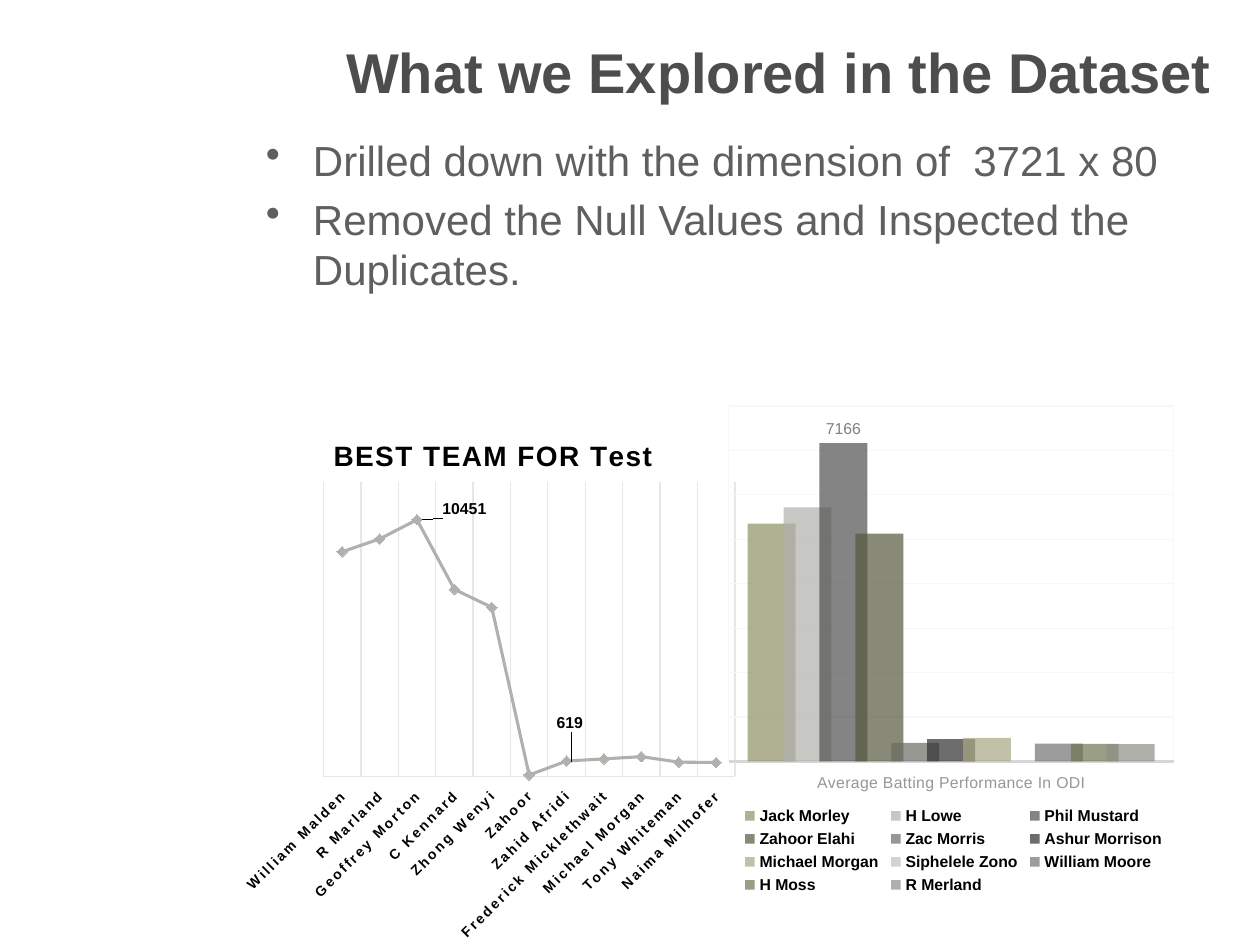
from lxml.etree import SubElement
from pptx import Presentation
from pptx.chart.data import CategoryChartData
from pptx.dml.color import RGBColor
from pptx.enum.chart import XL_CHART_TYPE as ChartType
from pptx.enum.chart import XL_LABEL_POSITION as LabelPosition
from pptx.enum.chart import XL_LEGEND_POSITION as LegendPosition
from pptx.enum.chart import XL_MARKER_STYLE as Marker
from pptx.enum.chart import XL_TICK_LABEL_POSITION as TickLabels
from pptx.enum.chart import XL_TICK_MARK as Tick
from pptx.enum.text import MSO_ANCHOR as Anchor
from pptx.enum.text import MSO_AUTO_SIZE as AutoSize
from pptx.enum.text import PP_ALIGN as Align
from pptx.oxml import parse_xml
from pptx.oxml.ns import qn
from pptx.util import Cm, Pt

CHART_NS = "http://schemas.openxmlformats.org/drawingml/2006/chart"
POINTS = [
    "Drilled down with the dimension of  3721 x 80",
    "Removed the Null Values and Inspected the Duplicates.",
]
TEST_TEAM = {
    "William Malden": 9146, "R Marland": 9668, "Geoffrey Morton": 10451,
    "C Kennard": 7614, "Zhong Wenyi": 6882, "Zahoor": 51,
    "Zahid Afridi": 619, "Frederick Micklethwait": 708,
    "Michael Morgan": 800, "Tony Whiteman": 575, "Naima Milhofer": 563,
}
ODI_TEAM = [
    ("Jack Morley", 5350, "8F9166"), ("H Lowe", 5720, "B0B0AC"),
    ("Phil Mustard", 7166, "505050"), ("Zahoor Elahi", 5130, "56573D"),
    ("Zac Morris", 420, "6B6B66"), ("Ashur Morrison", 500, "303030"),
    ("Michael Morgan", 530, "A6A883"), ("Siphelele Zono", 0, "C0C0BD"),
    ("William Moore", 400, "737373"), ("H Moss", 395, "727452"),
    ("R Merland", 390, "8E8E88"),
]


def rgb(value):
    return RGBColor.from_string(value)


def set_font(font, size, color, bold=False):
    font.name = "Arial"
    font.size = Pt(size)
    font.bold = bold
    font.color.rgb = rgb(color)


def set_line(line, color, width):
    line.color.rgb = rgb(color)
    line.width = Pt(width)


def set_layout(element, index, **settings):
    """Give a chart part a manual layout as its child at the index."""
    for old in element.findall(qn("c:layout")):
        element.remove(old)
    layout = parse_xml(f'<c:layout xmlns:c="{CHART_NS}"/>')
    manual = SubElement(layout, qn("c:manualLayout"))
    for name, value in settings.items():
        SubElement(manual, qn(f"c:{name}")).set("val", str(value))
    element.insert(index, layout)


def place_plot(chart, x, y, w, h):
    plot_area = chart._chartSpace.find(".//" + qn("c:plotArea"))
    set_layout(plot_area, 0, layoutTarget="inner", xMode="edge", yMode="edge",
               x=x, y=y, w=w, h=h)


def space_letters(font, spacing):
    font._element.set("spc", str(spacing))


def format_axes(chart, size, color, bold, line, grid, spacing):
    """Style the category axis from (color, width) pairs; hide the value axis."""
    axis = chart.category_axis
    axis.major_tick_mark = axis.minor_tick_mark = Tick.NONE
    axis.tick_label_position = TickLabels.LOW
    set_font(axis.tick_labels.font, size, color, bold)
    space_letters(axis.tick_labels.font, spacing)
    set_line(axis.format.line, *line)
    axis.has_major_gridlines = True
    set_line(axis.major_gridlines.format.line, *grid)
    chart.value_axis.visible = False
    chart.value_axis.minimum_scale = 0


def add_title(slide, text):
    title = slide.shapes.title
    title.left, title.top = Cm(5.11), Cm(0.53)
    title.width, title.height = Cm(19.58), Cm(1.8)
    title.text_frame.text = text
    title.text_frame.vertical_anchor = Anchor.MIDDLE
    title.text_frame.auto_size = AutoSize.NONE
    para = title.text_frame.paragraphs[0]
    para.alignment = Align.RIGHT
    set_font(para.font, 32, "4D4D4D", True)


def add_bullets(slide, lines):
    box = slide.shapes.add_textbox(Cm(5.11), Cm(2.59), Cm(19.61), Cm(5.74))
    frame = box.text_frame
    frame.word_wrap = True
    frame.text = "\n".join(lines)
    for para in frame.paragraphs:
        set_font(para.font, 24, "5F5F5F")
        para.space_before = Pt(4.8)
        props = para._p.get_or_add_pPr()
        props.set("marL", str(Cm(0.95)))
        props.set("indent", str(-Cm(0.95)))
        bullet = props.makeelement(qn("a:buChar"), {"char": "•"})
        props.insert_element_before(bullet, "a:tabLst", "a:defRPr", "a:extLst")


def label_point(series, index, x, y):
    """Show one value, moved by fractions of the chart's size."""
    label = series.points[index].data_label
    label.position = LabelPosition.RIGHT
    set_font(label.font, 9, "000000", True)
    element = label._get_or_add_dLbl()
    set_layout(element, 1, x=x, y=y)


def show_leader_lines(series):
    labels = series.data_labels._element
    leader = labels.find(qn("c:showLeaderLines"))
    if leader is None:
        leader = SubElement(labels, qn("c:showLeaderLines"))
    leader.set("val", "1")


def add_line_chart(slide):
    data = CategoryChartData(number_format="0")
    data.categories = list(TEST_TEAM)
    data.add_series("Series 1", list(TEST_TEAM.values()))
    chart = slide.shapes.add_chart(
        ChartType.LINE_MARKERS, Cm(4.78), Cm(8.2), Cm(10.24), Cm(10.8), data).chart
    set_font(chart.font, 10, "000000", True)
    chart.has_legend = False
    chart.has_title = True
    frame = chart.chart_title.text_frame
    frame.text = "BEST TEAM FOR Test"
    title_font = frame.paragraphs[0].font
    set_font(title_font, 16, "000000", True)
    space_letters(title_font, 100)
    set_layout(chart.chart_title._element, 1, xMode="edge", yMode="edge",
               x=0.18, y=0.05)
    format_axes(chart, 8, "000000", True, ("E7E7E7", 0.75), ("E7E7E7", 0.75), 120)
    chart.value_axis.has_major_gridlines = False
    label_body = chart.category_axis.tick_labels._element.find(
        qn("c:txPr")).find(qn("a:bodyPr"))
    label_body.set("rot", "-2700000")
    place_plot(chart, 0.17, 0.14, 0.81, 0.55)

    series = chart.plots[0].series[0]
    series.smooth = False
    set_line(series.format.line, "B0B0AC", 1.75)
    series.marker.style = Marker.DIAMOND
    series.marker.size = 6
    series.marker.format.fill.solid()
    series.marker.format.fill.fore_color.rgb = rgb("B0B0AC")
    set_line(series.marker.format.line, "B0B0AC", 0.75)
    series.data_labels.show_value = False
    label_point(series, 2, 0.03, -0.02)
    label_point(series, 6, -0.04, -0.07)
    show_leader_lines(series)


def add_column_chart(slide):
    data = CategoryChartData(number_format="0")
    data.categories = ["Average Batting Performance In ODI"]
    for name, runs, _ in ODI_TEAM:
        data.add_series(name, [runs])
    chart = slide.shapes.add_chart(
        ChartType.COLUMN_CLUSTERED, Cm(14.5), Cm(7.98), Cm(9.35), Cm(10.24), data).chart
    set_font(chart.font, 10, "5F5F5F")
    chart.has_title = False
    grid = ("F7F7F7", 0.75)
    format_axes(chart, 9, "979797", False, ("D7D7D7", 1.25), grid, 20)
    chart.value_axis.maximum_scale = 8000
    chart.value_axis.major_unit = 1000
    set_line(chart.value_axis.major_gridlines.format.line, *grid)
    place_plot(chart, 0.02, 0.02, 0.96, 0.7)
    chart.has_legend = True
    chart.legend.position = LegendPosition.BOTTOM
    chart.legend.include_in_layout = False
    set_font(chart.legend.font, 9, "000000", True)
    set_layout(chart.legend._element, 1, xMode="edge", yMode="edge",
               x=0.04, y=0.8, w=0.93, h=0.19)

    plot = chart.plots[0]
    plot.vary_by_categories = False
    plot.gap_width, plot.overlap = 80, 25
    for series, (name, _, color) in zip(plot.series, ODI_TEAM):
        fill = series.format.fill
        fill.solid()
        fill.fore_color.rgb = rgb(color)
        tint = series._element.find(".//" + qn("a:srgbClr"))
        SubElement(tint, qn("a:alpha")).set("val", "70000")
        if name == "Phil Mustard":
            label = series.points[0].data_label
            label.position = LabelPosition.OUTSIDE_END
            set_font(label.font, 9, "808080")
            series.data_labels.show_value = False


def main():
    deck = Presentation()
    deck.slide_width, deck.slide_height = Cm(25.4), Cm(19.05)
    slide = deck.slides.add_slide(deck.slide_layouts.get_by_name("Title Only"))
    add_title(slide, "What we Explored in the Dataset")
    add_bullets(slide, POINTS)
    add_line_chart(slide)
    add_column_chart(slide)
    deck.save("out.pptx")


if __name__ == "__main__":
    main()
